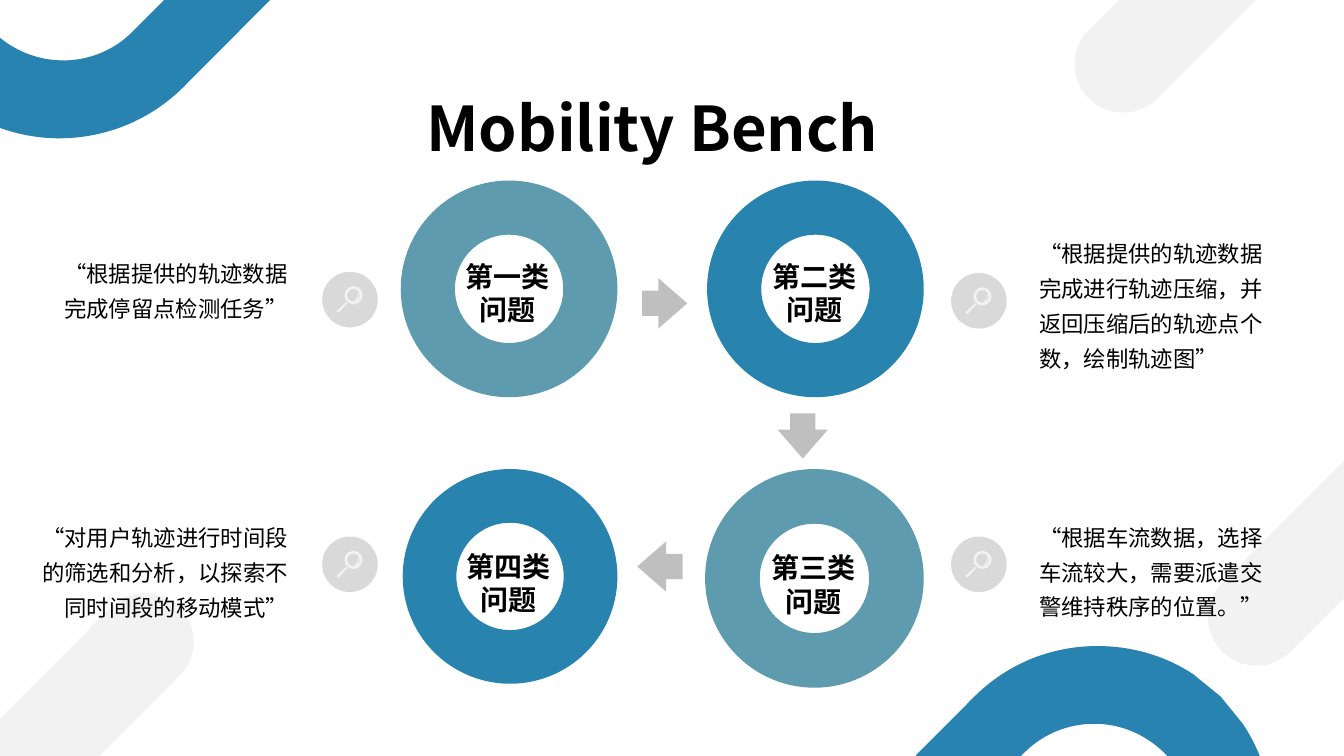
from lxml import etree
from pptx import Presentation
from pptx.dml.color import RGBColor
from pptx.enum.lang import MSO_LANGUAGE_ID as Language
from pptx.enum.shapes import MSO_SHAPE as Shape
from pptx.enum.text import MSO_ANCHOR as Anchor, PP_ALIGN as Align
from pptx.oxml.ns import qn
from pptx.util import Cm, Pt

# Content; all lengths in centimetres
FONT = "Noto Sans CJK SC"
BLUE, DEEP, TEAL = "2883B0", "2883AF", "5E9BAF"
PALE, SILVER, GREY = "F2F2F2", "D9D9D9", "BFBFBF"
TITLE = "Mobility Bench"

# ring left, top, size, colour, label, label top
RINGS = [
    (10.1, 4.55, 5.46, TEAL, "第一类问题", 6.53),
    (17.82, 4.55, 5.46, DEEP, "第二类问题", 6.53),
    (10.15, 11.82, 5.41, DEEP, "第四类问题", 13.84),
    (17.77, 11.82, 5.51, TEAL, "第三类问题", 13.87),
]
# left, top, width, height, alignment, wording
QUOTES = [
    (25.94, 5.72, 6.32, 3.81, Align.LEFT,
     "“根据提供的轨迹数据完成进行轨迹压缩，并返回压缩后的轨迹点个数，绘制轨迹图”"),
    (25.94, 12.87, 6.32, 2.92, Align.LEFT,
     "“根据车流数据，选择车流较大，需要派遣交警维持秩序的位置。”"),
    (0.68, 12.89, 6.83, 2.92, Align.RIGHT,
     "“对用户轨迹进行时间段的筛选和分析，以探索不同时间段的移动模式”"),
    (1.18, 6.22, 6.32, 2.03, Align.RIGHT, "“根据提供的轨迹数据完成停留点检测任务”"),
]
ICONS = [(23.97, 6.88), (23.97, 13.52), (8.12, 13.52), (8.12, 6.85)]
ARROWS = [(16.18, 7.01, 0), (16.06, 13.64, 180), (19.66, 10.35, 90)]  # left, top, turn
STRIPES = [(-11.02, 20.52, 18.21), (24.77, -5.18, 18.21), (27.43, 7.06, 23.01)]

# Outlines: a start point, then steps of one point (line) or three (curve)
BAND_HOLE = [
    [(27.58, 18.24)],
    [(26.92, 18.24), (26.29, 18.49), (25.81, 18.97)],
    [(19.84, 24.92)],
    [(18.87, 25.91), (18.87, 27.48), (19.84, 28.47)],
    [(20.83, 29.46), (22.43, 29.46), (23.39, 28.47)],
    [(29.34, 22.53)],
    [(30.33, 21.54), (30.33, 19.96), (29.34, 18.97)],
    [(28.85, 18.49), (28.22, 18.24), (27.58, 18.24)],
]
BAND_EDGE = [
    [(27.66, 16.28)],
    [(28.5, 16.28), (29.34, 16.51), (30.07, 16.99)],
    [(30.76, 17.55)],
    [(31.32, 18.24)],
    [(32.46, 19.94), (32.26, 22.25), (30.76, 23.75)],
    [(24.64, 29.9)],
    [(22.91, 31.6), (20.14, 31.6), (18.44, 29.9)],
    [(16.71, 28.17), (16.71, 25.4), (18.44, 23.7)],
    [(24.56, 17.55)],
    [(25.43, 16.69), (26.54, 16.28), (27.66, 16.28)],
]
BAND_SHIFTS = [(0, 0), (-20.03, -27.69)]
HANDLE = [[(0.36, 0.99)], [(0.41, 1.04)], [(0.64, 0.79)], [(0.61, 0.76)]]
GLINT = [
    [(0.91, 0.51)],
    [(0.94, 0.66), (0.81, 0.71), (0.81, 0.71)],
    [(0.84, 0.74)],
    [(0.99, 0.64), (0.91, 0.51), (0.91, 0.51)],
]


def colour(value):
    return RGBColor.from_string(value)


def paint(shape, value):
    shape.shadow.inherit = False
    shape.fill.solid()
    shape.fill.fore_color.rgb = colour(value)
    shape.line.fill.background()
    return shape


def preset(shapes, kind, left, top, width, height, value):
    return paint(shapes.add_shape(kind, Cm(left), Cm(top), Cm(width), Cm(height)), value)


def freeform(shapes, outlines, shift, value):
    """Draw every point as a line, then merge each triple into one curve."""
    builder = None
    for outline in outlines:
        start, *points = [(Cm(x + shift[0]), Cm(y + shift[1]))
                          for step in outline for x, y in step]
        if builder is None:
            builder = shapes.build_freeform(*start)
        else:
            builder.move_to(*start)
        builder.add_line_segments(points, close=True)
    shape = builder.convert_to_shape()
    lines = iter(list(shape._element.iter(qn("a:lnTo"))))
    for outline in outlines:
        for step in outline[1:]:
            curve, *rest = [next(lines) for _ in step]
            if rest:
                curve.tag = qn("a:cubicBezTo")
            for line in rest:
                curve.append(line[0])
                line.getparent().remove(line)
    return paint(shape, value)


def write(box, wording, size, align, bold=False, spacing=1.0):
    frame = box.text_frame
    frame.word_wrap = True
    frame.vertical_anchor = Anchor.TOP
    para = frame.paragraphs[0]
    para.alignment = align
    para.line_spacing = spacing
    span = para.add_run()
    span.text = wording
    font = span.font
    font.name, font.size, font.bold = FONT, Pt(size), bold
    font.color.rgb = colour("000000")
    font.language_id = Language.SIMPLIFIED_CHINESE
    etree.SubElement(span._r.get_or_add_rPr(), qn("a:ea"), typeface=FONT)
    return frame


def text_box(left, top, width, height):
    return page.shapes.add_textbox(Cm(left), Cm(top), Cm(width), Cm(height))


deck = Presentation()
deck.slide_width, deck.slide_height = Cm(33.87), Cm(19.05)
page = deck.slides.add_slide(deck.slide_layouts[5])

# Background stripes and bands
for left, top, length in STRIPES:
    stripe = preset(page.shapes, Shape.ROUNDED_RECTANGLE, left, top, length, 2.44, PALE)
    stripe.adjustments[0] = 0.5
    stripe.rotation = 315
for shift in BAND_SHIFTS:
    freeform(page.shapes, [BAND_EDGE, BAND_HOLE], shift, BLUE)

# Title
title = page.shapes.title
title.left, title.top, title.width, title.height = Cm(9.93), Cm(2.13), Cm(13.03), Cm(2.13)
write(title, TITLE, 44, Align.CENTER, bold=True)

# Arrows between the rings
for left, top, turn in ARROWS:
    arrow = preset(page.shapes, Shape.RIGHT_ARROW, left, top, 1.14, 1.27, GREY)
    arrow.adjustments[1] = 0.64
    arrow.rotation = turn

# Rings with centred labels
LABEL_WIDTH = 2.34
for left, top, size, value, label, label_top in RINGS:
    preset(page.shapes, Shape.DONUT, left, top, size, size, value)
    box = text_box(left + (size - LABEL_WIDTH) / 2 - 0.03, label_top, LABEL_WIDTH, 1.7)
    frame = write(box, label, 20, Align.CENTER, bold=True)
    frame.margin_left = frame.margin_right = frame.margin_top = frame.margin_bottom = 0

# Magnifier icons
for left, top in ICONS:
    icon = page.shapes.add_group_shape().shapes
    preset(icon, Shape.OVAL, left, top, 1.4, 1.4, SILVER)
    lens = preset(icon, Shape.DONUT, left + 0.56, top + 0.36, 0.46, 0.46, PALE)
    lens.adjustments[0] = 0.15
    for outline in (HANDLE, GLINT):
        freeform(icon, [outline], (left, top), PALE)

# Quoted questions
for left, top, width, height, align, wording in QUOTES:
    write(text_box(left, top, width, height), wording, 16, align, spacing=1.3)

deck.save("out.pptx")
